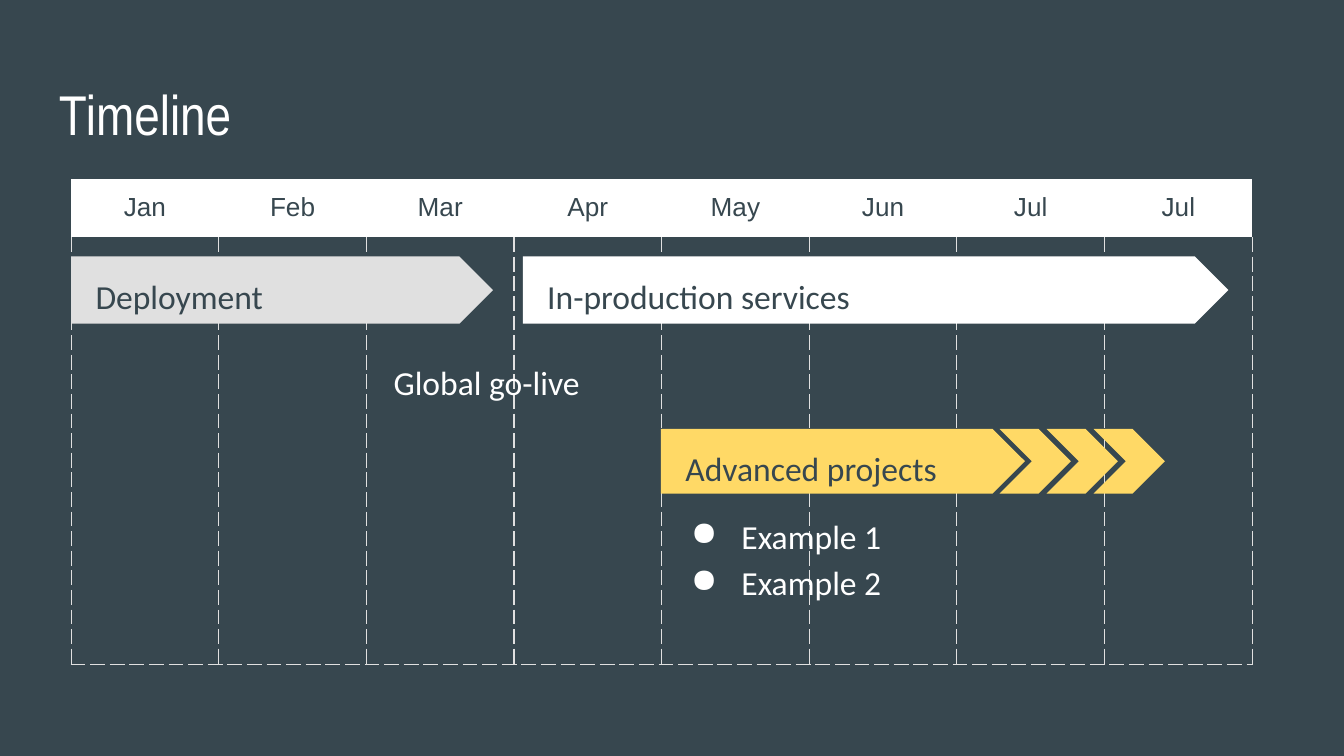
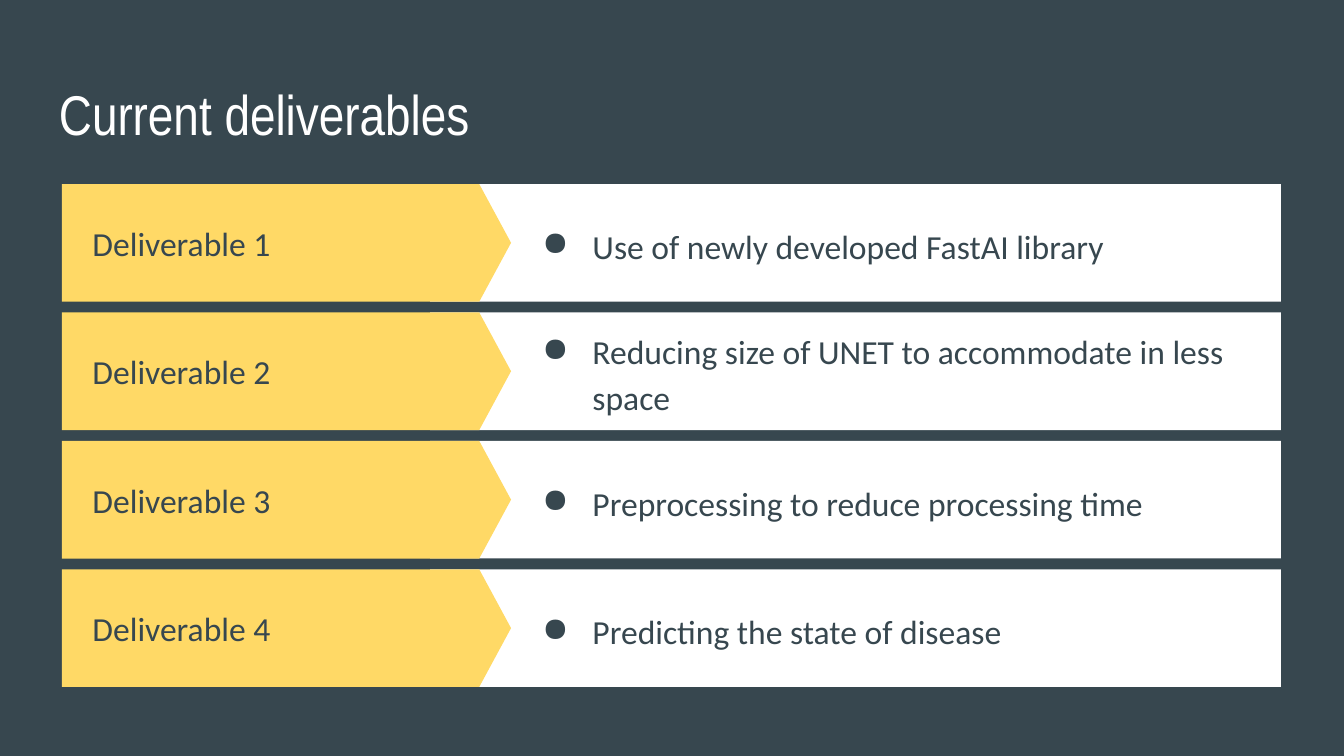
from dataclasses import dataclass

from lxml.etree import SubElement
from pptx import Presentation
from pptx.dml.color import RGBColor
from pptx.enum.shapes import MSO_SHAPE as Shape
from pptx.enum.text import MSO_ANCHOR as Anchor, PP_ALIGN as Align
from pptx.oxml.ns import qn
from pptx.util import Pt

COLOURS = {
    "slate": "37474F",
    "white": "FFFFFF",
    "grey": "E0E0E0",
    "yellow": "FFD966",
}
TITLE_FONT, BODY_FONT, TABLE_FONT = "Arial Narrow", "Calibri", "Arial"
PLAIN_TABLE_STYLE = "{2D5ABB26-0587-4C30-8999-92F81FD0307C}"
INSET = 7.2
MONTHS = ["Jan", "Feb", "Mar", "Apr", "May", "Jun", "Jul", "Jul"]
DELIVERABLES = [
    "Use of newly developed FastAI library",
    "Reducing size of UNET to accommodate in less space",
    "Preprocessing to reduce processing time",
    "Predicting the state of disease",
]


@dataclass
class Box:
    left: float
    top: float
    width: float
    height: float

    def inner(self, left, top, width, height):
        return Box(self.left + left, self.top + top, width, height)

    def lengths(self):
        return Pt(self.left), Pt(self.top), Pt(self.width), Pt(self.height)


def colour(name):
    return RGBColor.from_string(COLOURS[name])


def style_runs(para, font, size, ink):
    for span in para.runs:
        span.font.name = font
        span.font.size = Pt(size)
        span.font.color.rgb = colour(ink)


def add_bullet(para, ink):
    props = para._p.get_or_add_pPr()
    props.set("marL", str(Pt(36)))
    props.set("indent", str(-Pt(27)))
    fill = SubElement(SubElement(props, qn("a:buClr")), qn("a:srgbClr"))
    fill.set("val", COLOURS[ink])
    SubElement(props, qn("a:buChar")).set("char", "●")


def add_text(page, box, text, ink, font=BODY_FONT, size=18, spacing=1.15,
             anchor=Anchor.TOP, bullets=False):
    frame = page.shapes.add_textbox(*box.lengths()).text_frame
    frame.word_wrap = True
    frame.vertical_anchor = anchor
    frame.margin_left = frame.margin_right = Pt(INSET)
    frame.margin_top = frame.margin_bottom = Pt(INSET)
    frame.text = text
    for para in frame.paragraphs:
        para.line_spacing = spacing
        style_runs(para, font, size, ink)
        if bullets:
            add_bullet(para, ink)


def add_block(parent, kind, box, fill, point=None):
    block = parent.shapes.add_shape(kind, *box.lengths())
    block.shadow.inherit = False
    block.fill.solid()
    block.fill.fore_color.rgb = colour(fill)
    block.line.fill.background()
    if point is not None:
        block.adjustments[0] = point


def add_page(deck, title):
    page = deck.slides.add_slide(deck.slide_layouts[6])
    page.background.fill.solid()
    page.background.fill.fore_color.rgb = colour("slate")
    add_text(page, Box(24.5, 35.3, 671, 45.4), title, "white",
             TITLE_FONT, 30, spacing=1)
    return page


def dash_border(cell, side):
    props = cell._tc.get_or_add_tcPr()
    line = SubElement(props, qn(f"a:ln{side}"), w=str(Pt(0.75)))
    fill = SubElement(line, qn("a:solidFill"))
    SubElement(fill, qn("a:srgbClr"), val=COLOURS["grey"])
    SubElement(line, qn("a:prstDash"), val="dash")


def add_month_table(page, box, header_height):
    table = page.shapes.add_table(2, len(MONTHS), *box.lengths()).table
    table.first_row = table.horz_banding = False
    table._tbl.tblPr.find(qn("a:tableStyleId")).text = PLAIN_TABLE_STYLE
    table.rows[0].height = Pt(header_height)
    table.rows[1].height = Pt(box.height - header_height)
    for index, month in enumerate(MONTHS):
        table.columns[index].width = Pt(box.width / len(MONTHS))
        header, body = table.cell(0, index), table.cell(1, index)
        header.margin_left = header.margin_right = Pt(INSET)
        header.margin_top = header.margin_bottom = Pt(INSET)
        header.fill.solid()
        header.fill.fore_color.rgb = colour("white")
        header.text_frame.text = month
        para = header.text_frame.paragraphs[0]
        para.alignment = Align.CENTER
        style_runs(para, TABLE_FONT, 14, "slate")
        for side in "LRB":
            dash_border(body, side)
        body.fill.background()


def add_phase(page, box, text, fill):
    add_block(page, Shape.PENTAGON, box, fill, 0.5)
    add_text(page, box.inner(6, 0, box.width - 24, box.height), text, "slate")


def add_projects(page, box):
    group = page.shapes.add_group_shape()
    add_block(group, Shape.PENTAGON, box.inner(0, 0, 195, 34.6), "yellow", 0.5)
    for index in range(3):
        chevron = box.inner(181.4 + 25.2 * index, 0, 38.2, 34.6)
        add_block(group, Shape.CHEVRON, chevron, "yellow", 0.5)
    add_text(page, box.inner(6, -0.5, 202, 36), "Advanced projects", "slate")
    add_text(page, box.inner(0, 36, box.width, box.height - 36),
             "Example 1\nExample 2", "white", bullets=True)


def timeline_page(deck, box):
    page = add_page(deck, "Timeline")
    add_month_table(page, box, 29)
    add_phase(page, box.inner(0, 41.6, 226, 36), "Deployment", "grey")
    add_phase(page, box.inner(242, 41.6, 378, 36),
              "In-production services", "white")
    add_text(page, box.inner(165.7, 87.8, 158, 36), "Global go-live", "white")
    add_projects(page, box.inner(316, 134, 270, 115))


def add_deliverable(page, box, label, detail):
    group = page.shapes.add_group_shape()
    add_block(group, Shape.RECTANGLE,
              box.inner(197.2, 0, box.width - 197.2, box.height), "white")
    add_block(group, Shape.PENTAGON,
              box.inner(0, 0, 240.6, box.height), "yellow", 0.27)
    add_text(page, box.inner(9.3, 0, 191, box.height), label, "slate",
             spacing=1, anchor=Anchor.MIDDLE)
    add_text(page, box.inner(241.1, 0, 402.5, box.height), detail, "slate",
             anchor=Anchor.MIDDLE, bullets=True)


def deliverables_page(deck, box):
    page = add_page(deck, "Current deliverables")
    gap = 5.8
    height = (box.height + gap) / len(DELIVERABLES) - gap
    for index, detail in enumerate(DELIVERABLES):
        row = box.inner(0, index * (height + gap), box.width, height)
        add_deliverable(page, row, f"Deliverable {index + 1}", detail)


def main():
    deck = Presentation()
    deck.slide_width, deck.slide_height = Pt(720), Pt(405)
    timeline_page(deck, Box(38.1, 95.8, 632.8, 258))
    deliverables_page(deck, Box(33.2, 98.6, 653, 269.4))
    deck.save("out.pptx")


if __name__ == "__main__":
    main()
